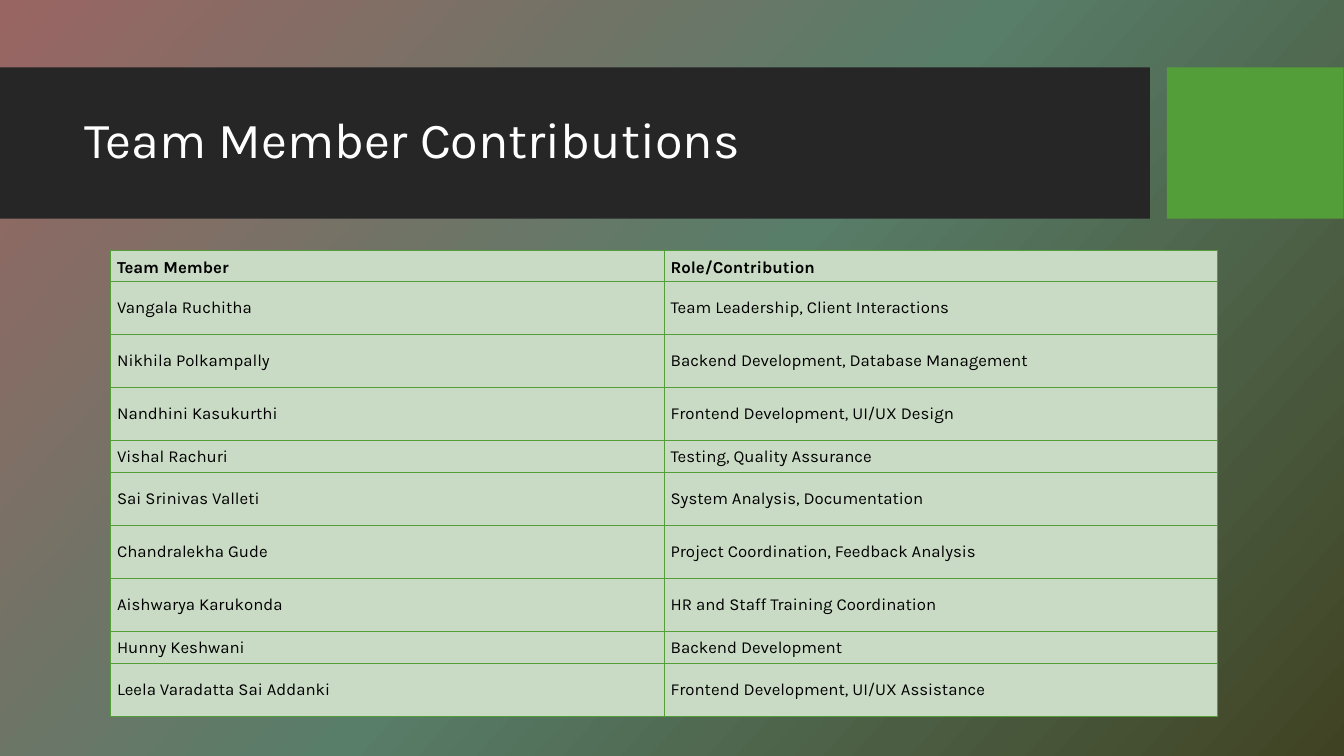
from copy import deepcopy

from pptx import Presentation
from pptx.dml.color import RGBColor
from pptx.enum.shapes import MSO_SHAPE as Shape
from pptx.enum.text import MSO_ANCHOR as Anchor
from pptx.oxml.ns import qn
from pptx.util import Cm, Pt
from lxml.etree import SubElement

FONT = "Karla"
GREEN = "549E39"
PALE_GREEN = "CADBC5"
CHARCOAL = "262626"
BACKDROP = ("996563", "587D69", "404323")

CONTRIBUTIONS = [
    ("Team Member", "Role/Contribution"),
    ("Vangala Ruchitha", "Team Leadership, Client Interactions"),
    ("Nikhila Polkampally", "Backend Development, Database Management"),
    ("Nandhini Kasukurthi", "Frontend Development, UI/UX Design"),
    ("Vishal Rachuri", "Testing, Quality Assurance"),
    ("Sai Srinivas Valleti", "System Analysis, Documentation"),
    ("Chandralekha Gude", "Project Coordination, Feedback Analysis"),
    ("Aishwarya Karukonda", "HR and Staff Training Coordination"),
    ("Hunny Keshwani", "Backend Development"),
    ("Leela Varadatta Sai Addanki", "Frontend Development, UI/UX Assistance"),
]
SHORT_ROWS = (0, 4, 8)
SHORT_HEIGHT, TALL_HEIGHT = 0.79, 1.34
COLUMN_WIDTH = 13.95


def color(hex_code):
    return RGBColor.from_string(hex_code)


def write_text(frame, text, size=12, ink="000000", bold=False, spacing=1.0):
    paragraph = frame.paragraphs[0]
    paragraph.line_spacing = spacing
    run = paragraph.add_run()
    run.text = text
    run.font.name = FONT
    run.font.size = Pt(size)
    run.font.bold = bold
    run.font.color.rgb = color(ink)


def paint_background(slide):
    """Fill the slide with a three-stop gradient running to the lower right."""
    fill = slide.background.fill
    fill.gradient()
    fill.gradient_angle = 318
    stop_list = slide.element.find(".//" + qn("a:gsLst"))
    stop_list.insert(1, deepcopy(stop_list[0]))
    for stop, hex_code, position in zip(fill.gradient_stops, BACKDROP, (0, 0.5, 1)):
        stop.color.rgb = color(hex_code)
        stop.position = position


def add_band(slide, left, width, hex_code):
    band = slide.shapes.add_shape(Shape.RECTANGLE, Cm(left), Cm(1.7), Cm(width), Cm(3.81))
    band.shadow.inherit = False
    band.fill.solid()
    band.fill.fore_color.rgb = color(hex_code)
    band.line.fill.background()


def add_title(slide, text):
    frame = slide.shapes.add_textbox(Cm(1.88), Cm(2.08), Cm(26.7), Cm(3)).text_frame
    frame.word_wrap = True
    frame.vertical_anchor = Anchor.MIDDLE
    write_text(frame, text, size=36, ink="FFFFFF", spacing=0.9)


def add_borders(cell, hex_code):
    properties = cell._tc.get_or_add_tcPr()
    for side in ("lnL", "lnR", "lnT", "lnB"):
        border = SubElement(properties, qn(f"a:{side}"), w=str(Pt(0.75)))
        solid = SubElement(border, qn("a:solidFill"))
        SubElement(solid, qn("a:srgbClr"), val=hex_code)


def format_cell(cell, text, is_header):
    add_borders(cell, GREEN)
    cell.fill.solid()
    cell.fill.fore_color.rgb = color(PALE_GREEN)
    cell.margin_left = cell.margin_right = Cm(0.16)
    cell.margin_top = cell.margin_bottom = Cm(0.08)
    cell.vertical_anchor = Anchor.BOTTOM if is_header else Anchor.MIDDLE
    write_text(cell.text_frame, text, bold=is_header)


def add_contributions(slide):
    heights = [SHORT_HEIGHT if i in SHORT_ROWS else TALL_HEIGHT
               for i in range(len(CONTRIBUTIONS))]
    table = slide.shapes.add_table(
        len(CONTRIBUTIONS), 2, Cm(2.79), Cm(6.3), Cm(2 * COLUMN_WIDTH), Cm(sum(heights))
    ).table
    table.horz_banding = False
    for column in table.columns:
        column.width = Cm(COLUMN_WIDTH)
    for i, (entry, height) in enumerate(zip(CONTRIBUTIONS, heights)):
        table.rows[i].height = Cm(height)
        for j, text in enumerate(entry):
            format_cell(table.cell(i, j), text, is_header=i == 0)


def main():
    deck = Presentation()
    deck.slide_width, deck.slide_height = Cm(33.87), Cm(19.05)
    slide = deck.slides.add_slide(deck.slide_layouts[6])
    paint_background(slide)
    add_band(slide, 0, 28.98, CHARCOAL)
    add_band(slide, 29.41, 4.45, GREEN)
    add_title(slide, "Team Member Contributions")
    add_contributions(slide)
    deck.save("out.pptx")


if __name__ == "__main__":
    main()
